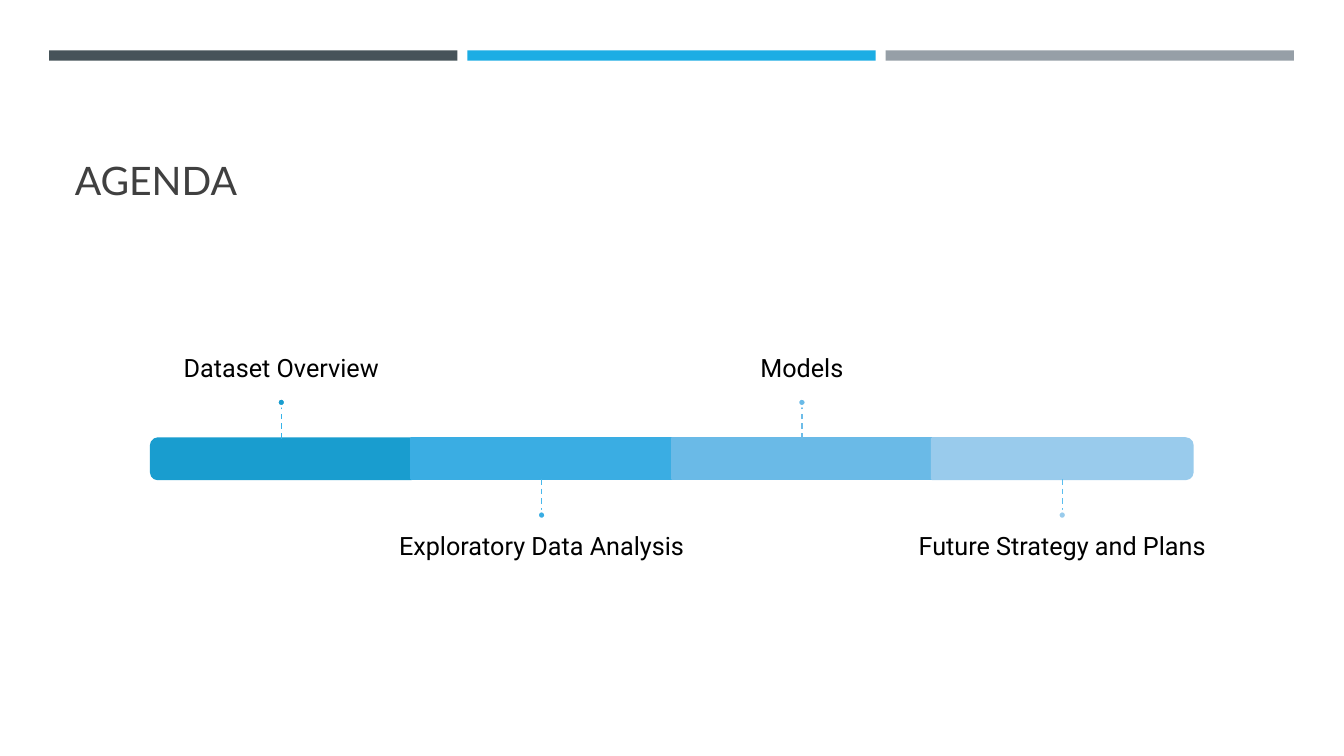
from lxml.etree import SubElement
from pptx import Presentation
from pptx.dml.color import RGBColor
from pptx.enum.dml import MSO_LINE
from pptx.enum.shapes import MSO_CONNECTOR, MSO_SHAPE
from pptx.enum.text import MSO_ANCHOR, PP_ALIGN
from pptx.oxml.ns import qn
from pptx.util import Cm, Pt

WHITE = RGBColor(0xFF, 0xFF, 0xFF)
BLACK = RGBColor(0x00, 0x00, 0x00)
TITLE_GREY = RGBColor(0x40, 0x40, 0x40)

TITLE = "AGENDA"
STRIPES = [
    RGBColor(0x46, 0x53, 0x59),
    RGBColor(0x1C, 0xAD, 0xE4),
    RGBColor(0x96, 0x9F, 0xA7),
]
# label, segment colour, stem colour, rotation of a rounded end segment
AGENDA = [
    ("Dataset Overview", RGBColor(0x19, 0x9D, 0xCF), RGBColor(0x36, 0xB3, 0xE9), 270),
    ("Exploratory Data Analysis", RGBColor(0x3A, 0xAD, 0xE3), RGBColor(0x48, 0xB8, 0xEC), None),
    ("Models", RGBColor(0x6A, 0xBA, 0xE7), RGBColor(0x6D, 0xBC, 0xE8), None),
    ("Future Strategy and Plans", RGBColor(0x99, 0xCB, 0xEC), RGBColor(0x5A, 0xBE, 0xEF), 90),
]

# Lengths in centimetres
STRIPE_LEFT, STRIPE_TOP, STRIPE_WIDTH, STRIPE_HEIGHT = 1.24, 1.27, 10.29, 0.26
STRIPE_PITCH = 10.54
FIRST_CENTRE, SEGMENT_WIDTH = 7.09, 6.56
BAR_MIDDLE, BAR_HEIGHT = 11.56, 1.02
STEM, DOT = 0.81, 0.2
LABEL_WIDTH, LABEL_HEIGHT, LABEL_GAP = 10.95, 3.53, 0.38


def write(frame, text, *, font, size, color, anchor, align=None, spacing=None):
    frame.word_wrap = True
    frame.vertical_anchor = anchor
    paragraph = frame.paragraphs[0]
    paragraph.alignment = align
    paragraph.line_spacing = spacing
    run = paragraph.add_run()
    run.text = text
    run.font.name = font
    run.font.size = Pt(size)
    run.font.color.rgb = color


def add_filled(slide, preset, centre, middle, width, height, fill, outline=None):
    """Add a flat shape around its centre point, outlined only if asked."""
    shape = slide.shapes.add_shape(
        preset, Cm(centre - width / 2), Cm(middle - height / 2), Cm(width), Cm(height)
    )
    shape.shadow.inherit = False
    shape.fill.solid()
    shape.fill.fore_color.rgb = fill
    if outline is None:
        shape.line.fill.background()
    else:
        shape.line.color.rgb = outline
        shape.line.width = Pt(1.75)
    return shape


def add_segment(slide, centre, color, rotation):
    if rotation is None:
        return add_filled(slide, MSO_SHAPE.RECTANGLE, centre, BAR_MIDDLE,
                          SEGMENT_WIDTH, BAR_HEIGHT, color, color)
    segment = add_filled(slide, MSO_SHAPE.ROUND_2_SAME_RECTANGLE, centre, BAR_MIDDLE,
                         BAR_HEIGHT, SEGMENT_WIDTH, color, color)
    segment.rotation = rotation
    return segment


def add_label(slide, text, centre, dot_edge, above):
    top = dot_edge - LABEL_HEIGHT if above else dot_edge
    label = slide.shapes.add_textbox(
        Cm(centre - LABEL_WIDTH / 2), Cm(top), Cm(LABEL_WIDTH), Cm(LABEL_HEIGHT)
    )
    frame = label.text_frame
    frame.margin_left = frame.margin_right = 0
    frame.margin_top = Cm(0 if above else LABEL_GAP)
    frame.margin_bottom = Cm(LABEL_GAP if above else 0)
    write(frame, text, font="Roboto", size=18, color=BLACK, align=PP_ALIGN.CENTER,
          anchor=MSO_ANCHOR.BOTTOM if above else MSO_ANCHOR.TOP, spacing=0.9)


def add_stem(slide, centre, start, end, color):
    stem = slide.shapes.add_connector(
        MSO_CONNECTOR.STRAIGHT, Cm(centre), Cm(start), Cm(centre), Cm(end)
    )
    stem.line.color.rgb = color
    stem.line.width = Pt(1)
    stem.line.dash_style = MSO_LINE.DASH
    SubElement(stem._element.spPr, qn("a:effectLst"))
    return stem


def add_agenda_item(slide, index, text, color, stem_color, rotation):
    above = index % 2 == 0
    outward = -1 if above else 1
    centre = FIRST_CENTRE + index * SEGMENT_WIDTH
    bar_edge = BAR_MIDDLE + outward * BAR_HEIGHT / 2
    stem_end = bar_edge + outward * STEM

    segment = add_segment(slide, centre, color, rotation)
    add_label(slide, text, centre, stem_end + outward * DOT, above)
    stem = add_stem(slide, centre, bar_edge, stem_end, stem_color)
    if rotation is None:
        stem.begin_connect(segment, 0 if above else 2)
    add_filled(slide, MSO_SHAPE.OVAL, centre, stem_end + outward * DOT / 2,
               DOT, DOT, color, WHITE)


def main():
    deck = Presentation()
    deck.slide_width, deck.slide_height = Cm(33.87), Cm(19.05)
    slide = deck.slides.add_slide(deck.slide_layouts[5])

    for index, color in enumerate(STRIPES):
        add_filled(slide, MSO_SHAPE.RECTANGLE,
                   STRIPE_LEFT + index * STRIPE_PITCH + STRIPE_WIDTH / 2,
                   STRIPE_TOP + STRIPE_HEIGHT / 2, STRIPE_WIDTH, STRIPE_HEIGHT, color)

    title = slide.shapes.title
    title.left, title.top = Cm(1.63), Cm(1.96)
    title.width, title.height = Cm(30.63), Cm(3.3)
    write(title.text_frame, TITLE, font="Lato", size=28, color=TITLE_GREY,
          anchor=MSO_ANCHOR.BOTTOM, align=PP_ALIGN.LEFT)

    for index, item in enumerate(AGENDA):
        add_agenda_item(slide, index, *item)

    deck.save("out.pptx")


if __name__ == "__main__":
    main()
